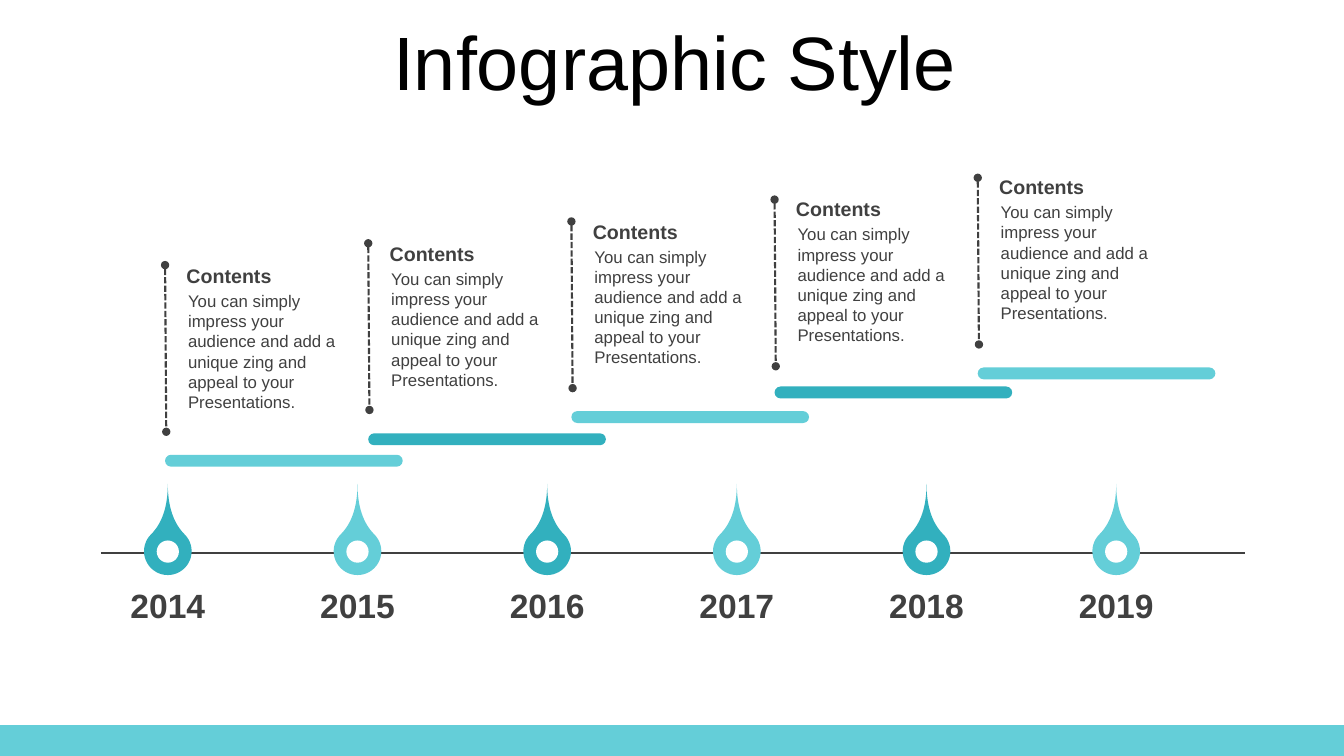
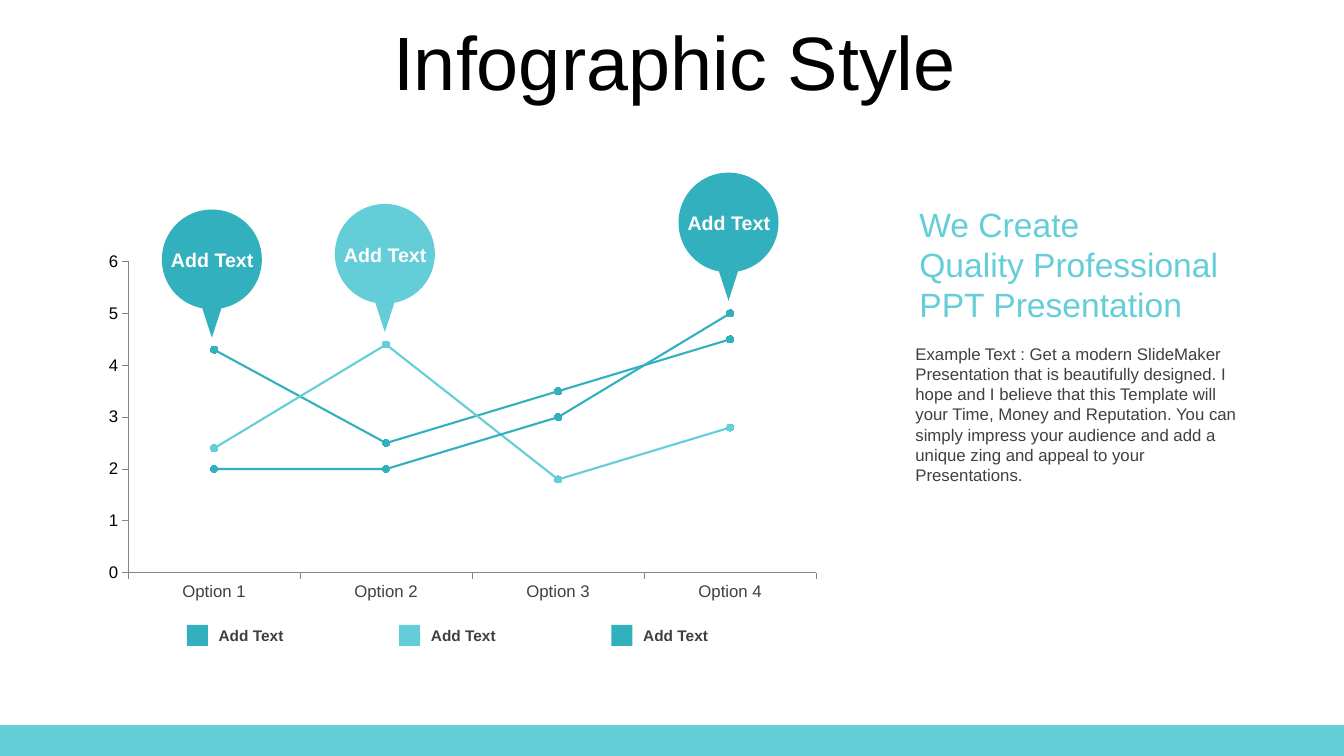
from lxml.etree import SubElement
from pptx import Presentation
from pptx.chart.data import CategoryChartData
from pptx.dml.color import RGBColor
from pptx.enum.chart import XL_CHART_TYPE, XL_MARKER_STYLE, XL_TICK_MARK
from pptx.enum.dml import MSO_LINE
from pptx.enum.shapes import MSO_CONNECTOR, MSO_SHAPE
from pptx.enum.text import MSO_ANCHOR, MSO_AUTO_SIZE, PP_ALIGN
from pptx.oxml.ns import qn
from pptx.util import Cm, Pt

COLORS = {
    "dark": "32B0BE",
    "light": "64CED8",
    "text": "404040",
    "black": "000000",
    "white": "FFFFFF",
    "axis": "868686",
}
FONT = "Arial"
SLIDE_WIDTH, SLIDE_HEIGHT = 33.87, 19.05
BAND_HEIGHT = 0.78
DEFAULT_INSETS = (0.25, 0.13)
TITLE = "Infographic Style"
STEP_TEXT = ("You can simply impress your audience and add a unique zing "
             "and appeal to your Presentations.")
HEADLINE = "We Create\nQuality Professional\nPPT Presentation"
EXAMPLE_TEXT = (
    "Example Text : Get a modern SlideMaker Presentation that is beautifully "
    "designed. I hope and I believe that this Template will your Time, Money "
    "and Reputation. You can simply impress your audience and add a unique "
    "zing and appeal to your Presentations.")
RIGHT_HALF = ((0.7, 0), (1.26, 0.56), (1.26, 1.26),
              (1.26, 1.87), (0.83, 2.38), (0.24, 2.49))
CALLOUT_TIP = (0, 3.23)


def color(name):
    return RGBColor.from_string(COLORS[name])


def paint(shape, fill):
    shape.shadow.inherit = False
    shape.fill.solid()
    shape.fill.fore_color.rgb = color(fill)
    shape.line.fill.background()
    return shape


def format_font(font, size, name="text", bold=False):
    font.name = FONT
    font.size = Pt(size)
    font.bold = bold
    font.color.rgb = color(name)


def write_text(shape, text, size, name="text", bold=False, align=PP_ALIGN.LEFT,
               insets=(0, 0), auto_size=MSO_AUTO_SIZE.SHAPE_TO_FIT_TEXT,
               anchor=MSO_ANCHOR.TOP, line_spacing=None, space_before=0):
    frame = shape.text_frame
    frame.word_wrap = True
    frame.auto_size = auto_size
    frame.vertical_anchor = anchor
    frame.margin_left = frame.margin_right = Cm(insets[0])
    frame.margin_top = frame.margin_bottom = Cm(insets[1])
    frame.text = text
    for paragraph in frame.paragraphs:
        paragraph.alignment = align
        paragraph.line_spacing = line_spacing
        paragraph.space_before = Pt(space_before)
        for run in paragraph.runs:
            format_font(run.font, size, name, bold)


def add_text(shapes, left, top, width, height, text, size, **text_format):
    box = shapes.add_textbox(Cm(left), Cm(top), Cm(width), Cm(height))
    write_text(box, text, size, **text_format)


def add_shape(shapes, kind, left, top, width, height, fill):
    shape = shapes.add_shape(kind, Cm(left), Cm(top), Cm(width), Cm(height))
    return paint(shape, fill)


def add_line(shapes, start, end, width, dotted=False):
    connector = shapes.add_connector(
        MSO_CONNECTOR.STRAIGHT, *(Cm(value) for value in start + end))
    connector.line.color.rgb = color("text")
    connector.line.width = Pt(width)
    properties = connector.element.spPr
    if dotted:
        connector.line.dash_style = MSO_LINE.SQUARE_DOT
        outline = properties.find(qn("a:ln"))
        for tag in ("a:headEnd", "a:tailEnd"):
            SubElement(outline, qn(tag), type="oval")
    SubElement(properties, qn("a:effectLst"))


def add_titled_slide(presentation, layout):
    slide = presentation.slides.add_slide(layout)
    title = slide.shapes.title
    title.left, title.top = Cm(0.92), Cm(0.66)
    title.width, title.height = Cm(32.16), Cm(2.01)
    write_text(title, TITLE, 54, name="black", align=PP_ALIGN.CENTER,
               insets=DEFAULT_INSETS, auto_size=MSO_AUTO_SIZE.NONE,
               anchor=MSO_ANCHOR.MIDDLE, line_spacing=0.9, space_before=10)
    return slide


def move_band_to_layout(slide, layout):
    band = add_shape(slide.shapes, MSO_SHAPE.RECTANGLE, 0,
                     SLIDE_HEIGHT - BAND_HEIGHT, SLIDE_WIDTH, BAND_HEIGHT, "light")
    layout.shapes.element.insert(2, band.element)


def add_year_marker(slide, center, year, fill):
    shapes = slide.shapes.add_group_shape().shapes
    drop = add_shape(shapes, MSO_SHAPE.TEAR, center - 0.6, 13.29, 1.2, 1.2, fill)
    drop.adjustments[0] = 2
    drop.rotation = 315
    add_text(shapes, center - 1.52, 14.73, 3.04, 1.02, str(year), 24,
             bold=True, align=PP_ALIGN.CENTER)
    add_shape(shapes, MSO_SHAPE.OVAL, center - 0.28, 13.62, 0.56, 0.56, "white")


def add_step(slide, index, bar_top, fill):
    left = 4.16 + 5.12 * index
    text_rise = 0.56 * index
    line_rise = 0.55 * index
    bar = add_shape(slide.shapes, MSO_SHAPE.ROUNDED_RECTANGLE,
                    left, bar_top, 5.99, 0.3, fill)
    bar.adjustments[0] = 0.5
    shapes = slide.shapes.add_group_shape().shapes
    add_text(shapes, left + 0.33, 7.2 - text_rise, 4.37, 3.33, STEP_TEXT, 12,
             insets=DEFAULT_INSETS)
    add_text(shapes, left + 0.24, 6.52 - text_rise, 4.39, 0.86, "Contents", 14,
             bold=True, insets=(0.3, 0.13))
    add_line(slide.shapes, (left, 6.68 - line_rise),
             (left + 0.03, 10.88 - line_rise), 1.5, dotted=True)


def curve_segments(shape, starts):
    lines = list(shape.element.iter(qn("a:lnTo")))
    for start in starts:
        first, *others = lines[start:start + 3]
        first.tag = qn("a:cubicBezTo")
        for line in others:
            first.append(line[0])
            line.getparent().remove(line)


def add_callout(slide, center, top, fill):
    shapes = slide.shapes.add_group_shape().shapes
    left_half = [(-x, y) for x, y in reversed(RIGHT_HALF)]
    outline = [(Cm(center + x), Cm(top + y))
               for x, y in (*RIGHT_HALF, CALLOUT_TIP, *left_half, (0, 0))]
    builder = shapes.build_freeform(Cm(center), Cm(top))
    builder.add_line_segments(outline, close=True)
    balloon = paint(builder.convert_to_shape(), fill)
    curve_segments(balloon, (0, 3, 8, 11))
    label = add_shape(shapes, MSO_SHAPE.RECTANGLE,
                      center - 1.17, top + 0.97, 2.36, 0.61, fill)
    write_text(label, "Add Text", 14, name="white", bold=True,
               align=PP_ALIGN.CENTER)


def add_legend_entry(slide, left, fill):
    shapes = slide.shapes.add_group_shape().shapes
    add_shape(shapes, MSO_SHAPE.RECTANGLE, left, 15.75, 0.53, 0.53, fill)
    add_text(shapes, left + 0.8, 15.77, 2.79, 0.48, "Add Text", 11, bold=True)


def add_line_chart(slide, categories, series_values, fills):
    data = CategoryChartData()
    data.categories = categories
    for number, values in enumerate(series_values, 1):
        data.add_series(f"Series {number}", values)
    chart = slide.shapes.add_chart(
        XL_CHART_TYPE.LINE_MARKERS, Cm(2.37), Cm(6.18), Cm(18.57), Cm(9.14),
        data).chart
    chart.has_legend = False
    chart.has_title = False
    format_font(chart.font, 18, "black")
    plot = chart.plots[0]
    plot.vary_by_categories = False
    for series, fill in zip(plot.series, fills):
        series.smooth = False
        series.format.line.width = Pt(1.5)
        series.format.line.color.rgb = color(fill)
        marker = series.marker
        marker.style = XL_MARKER_STYLE.CIRCLE
        marker.size = 5
        marker.format.fill.solid()
        marker.format.fill.fore_color.rgb = color(fill)
        marker.format.line.color.rgb = color(fill)
    for axis, name in ((chart.category_axis, "text"), (chart.value_axis, "black")):
        axis.has_major_gridlines = False
        axis.major_tick_mark = XL_TICK_MARK.OUTSIDE
        axis.format.line.color.rgb = color("axis")
        format_font(axis.tick_labels.font, 12, name)
    chart.value_axis.minimum_scale = 0
    chart.value_axis.maximum_scale = 6
    chart.value_axis.major_unit = 1


def fill_timeline(slide):
    add_line(slide.shapes, (2.54, 13.94), (31.38, 13.94), 1.75)
    for index in range(6):
        add_year_marker(slide, 4.23 + 4.78 * index, 2014 + index,
                        ("dark", "light")[index % 2])
    for index, bar_top in enumerate((11.46, 10.92, 10.36, 9.74, 9.26)):
        add_step(slide, index, bar_top, ("light", "dark")[index % 2])


def fill_chart_slide(slide):
    fills = ("dark", "light", "dark")
    add_line_chart(slide, [f"Option {number}" for number in range(1, 5)],
                   ((4.3, 2.5, 3.5, 4.5), (2.4, 4.4, 1.8, 2.8), (2, 2, 3, 5)), fills)
    for center, top, fill in zip((5.34, 9.7, 18.36), (5.28, 5.14, 4.35), fills):
        add_callout(slide, center, top, fill)
    for index, fill in enumerate(fills):
        add_legend_entry(slide, 4.71 + 5.35 * index, fill)
    add_text(slide.shapes, 23.07, 5.13, 8.46, 3.07, HEADLINE, 24,
             name="light", insets=(0.1, 0))
    add_text(slide.shapes, 23.07, 8.66, 8.46, 3.58, EXAMPLE_TEXT, 12)


def main():
    presentation = Presentation()
    presentation.slide_width = Cm(SLIDE_WIDTH)
    presentation.slide_height = Cm(SLIDE_HEIGHT)
    layout = presentation.slide_layouts[5]
    timeline = add_titled_slide(presentation, layout)
    move_band_to_layout(timeline, layout)
    fill_timeline(timeline)
    fill_chart_slide(add_titled_slide(presentation, layout))
    presentation.save("out.pptx")


main()
